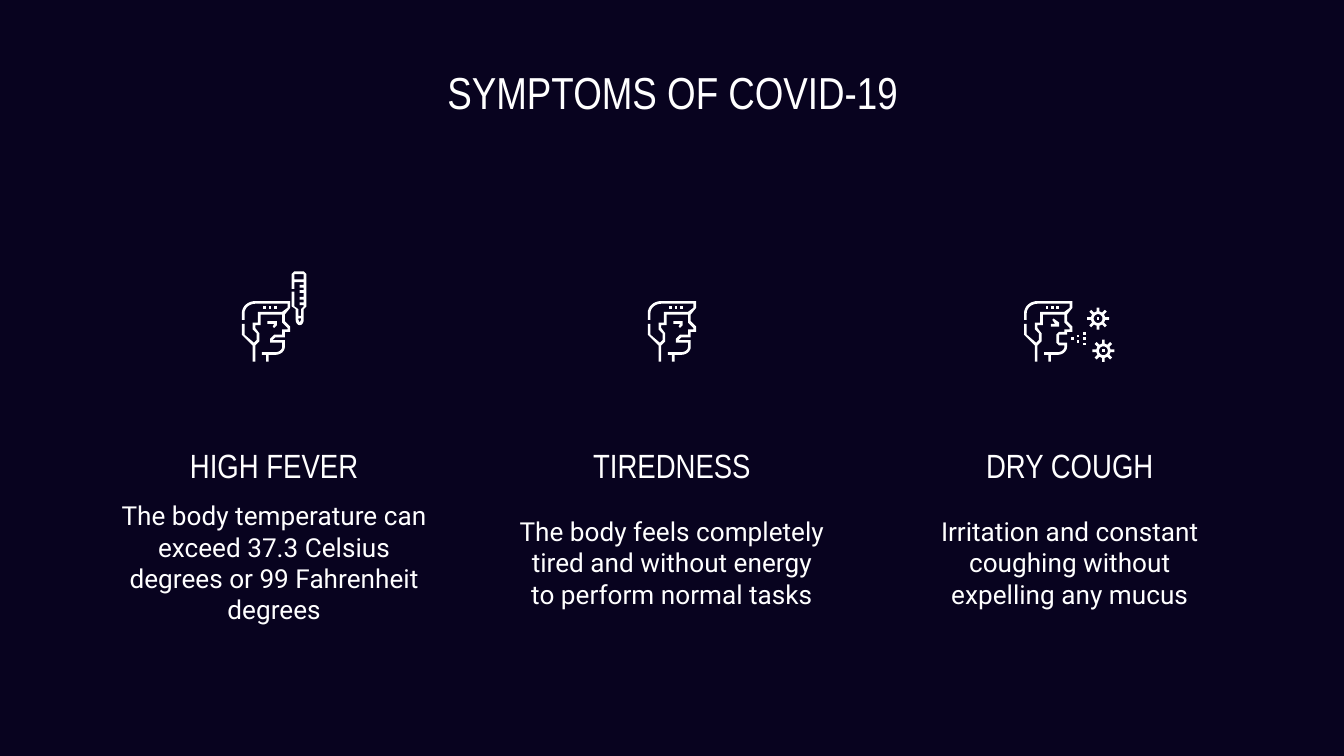
from dataclasses import dataclass
from math import cos, radians, sin

from pptx import Presentation
from pptx.dml.color import RGBColor
from pptx.enum.text import MSO_ANCHOR, PP_ALIGN
from pptx.util import Emu, Pt


@dataclass(frozen=True)
class Theme:
    background: RGBColor = RGBColor(0x08, 0x03, 0x1F)
    ink: RGBColor = RGBColor(0xFF, 0xFF, 0xFF)
    heading_font: str = "Arial Narrow"
    body_font: str = "Roboto"
    title_size: int = 24
    heading_size: int = 18
    body_size: int = 14
    space_after: int = 16


THEME = Theme()
TITLE = "SYMPTOMS OF COVID-19"
SYMPTOMS = [
    ("HIGH FEVER", "fever", 48,
     "The body temperature can exceed 37.3 Celsius degrees or 99 Fahrenheit degrees"),
    ("TIREDNESS", "tired", 36,
     "The body feels completely tired and without energy to perform normal tasks"),
    ("DRY COUGH", "cough", 68,
     "Irritation and constant coughing without expelling any mucus"),
]

SLIDE_WIDTH = 1000
SLIDE_HEIGHT = SLIDE_WIDTH * 9 / 16
TITLE_BOX = (103, 38, 795, 91)
FIRST_CENTER, COLUMN_PITCH = 204, 296
COLUMN_WIDTH, ROW_HEIGHT = 250, 85
HEADING_TOP = 286
BODY_TOP = HEADING_TOP + ROW_HEIGHT
HEAD_TOP = 224
INSET = 10


def px(length):
    return Emu(round(length * 9144))


def arc(cx, cy, rx, ry, start, end, steps=8):
    angles = [radians(start + (end - start) * i / steps) for i in range(steps + 1)]
    return [(cx + rx * cos(a), cy + ry * sin(a)) for a in angles]


def square(x, y, side=2):
    return [(x, y), (x, y + side), (x + side, y + side), (x + side, y)]


def virus(cx, cy):
    outline = []
    for spike in range(8):
        a = radians(45 * spike)
        for along, across in ((5.3, -1), (8.2, -1), (8.2, 1), (5.3, 1)):
            outline.append((cx + along * cos(a) - across * sin(a),
                            cy + along * sin(a) + across * cos(a)))
    return [[outline, arc(cx, cy, 3.3, 3.3, 0, 360, 20)], [square(cx - 1, cy - 1)]]


CROWN = (
    arc(10, 9, 10, 9, 270, 180) + [(0, 14), (2, 14)] + arc(10, 9, 8, 7, 180, 270)
    + [(34, 2), (34, 5), (30, 8), (12, 8), (12, 16), (8, 16), (8, 21), (11, 24),
       (11, 29), (9, 31), (2, 25), (2, 17), (0, 17), (0, 25), (8, 33), (8, 45),
       (10, 45), (10, 33), (13, 30), (13, 24), (10, 20), (10, 18), (14, 18),
       (14, 10), (30, 10), (30, 16), (34, 20), (34, 21), (30, 21)]
)
JAW = (
    arc(25, 34, 5, 4, 0, 90)
    + [(15, 38), (15, 40), (18, 40), (18, 45), (20, 45), (20, 40)]
    + arc(25, 34, 7, 6, 90, 0)
)
NOSE = [(32, 23), (36, 23), (36, 19), (32, 15), (32, 10), (36, 5), (36, 0)]
CLOSED_LIPS = ([(30, 25), (24, 25), (21, 28), (21, 31), (30, 31)],
               [(32, 29), (23, 29), (25, 27), (32, 27)])
OPEN_LIPS = ([(30, 23), (26, 23), (24, 25), (24, 31), (26, 33), (30, 33)],
             [(32, 31), (26, 31), (26, 25), (32, 25)])
TIRED_EYE = [(19, 15), (19, 17), (24, 17), (23, 19), (24, 20), (26, 18), (26, 15)]
TENSE_EYE = [(22, 13), (21, 14), (23, 17), (20, 17), (20, 19), (26, 19), (26, 16)]
HAIR_DOTS = [[square(x, 4)] for x in (16, 20, 24)]
DROPLETS = [[square(x, y)] for x, y in
            ((44, 23), (39, 29), (39, 25), (44, 31), (44, 27), (35, 27))]

TICKS = [point for y in (-12, -8, -3, 1)
         for point in ((46, y), (43, y), (43, y + 2), (46, y + 2))]
THERMOMETER = [
    [(39, -22), (37, -20), (37, -9), (39, -9), (39, -14), (46, -14)] + TICKS
    + [(46, 4), (44, 6), (44, 11), (42, 11), (42, 6), (39, 4), (39, -7), (37, -7),
       (37, 4), (40, 6)] + arc(43, 14, 3, 4, 180, 0)
    + [(46, 6), (48, 4), (48, -20), (46, -22)],
    [(46, -20), (46, -16), (39, -16), (39, -20)],
    [(44, 13), (44, 14), (43, 16), (42, 14), (42, 13)],
]


def head(lips, eye):
    upper, lower = lips
    return HAIR_DOTS + [[CROWN + upper + JAW + lower + NOSE], [eye]]


ICONS = {
    "fever": head(CLOSED_LIPS, TIRED_EYE) + [THERMOMETER],
    "tired": head(CLOSED_LIPS, TIRED_EYE),
    "cough": head(OPEN_LIPS, TENSE_EYE) + DROPLETS + virus(55, 13) + virus(59, 37),
}


def draw_icon(slide, parts, left, top):
    icon = slide.shapes.add_group_shape()
    for contours in parts:
        placed = [[(px(left + x), px(top + y)) for x, y in c] for c in contours]
        builder = icon.shapes.build_freeform(*placed[0][0], scale=1.0)
        builder.add_line_segments(placed[0][1:], close=True)
        for hole in placed[1:]:
            builder.move_to(*hole[0])
            builder.add_line_segments(hole[1:], close=True)
        part = builder.convert_to_shape()
        part.shadow.inherit = False
        part.fill.solid()
        part.fill.fore_color.rgb = THEME.ink
        part.line.fill.background()


def write(slide, text, box, font, size, anchor, bottom_inset=INSET, space_after=0):
    frame = slide.shapes.add_textbox(*map(px, box)).text_frame
    frame.word_wrap = True
    frame.vertical_anchor = anchor
    frame.margin_left = frame.margin_right = frame.margin_top = px(INSET)
    frame.margin_bottom = px(bottom_inset)
    paragraph = frame.paragraphs[0]
    paragraph.alignment = PP_ALIGN.CENTER
    paragraph.space_after = Pt(space_after)
    run = paragraph.add_run()
    run.text = text
    run.font.name = font
    run.font.size = Pt(size)
    run.font.color.rgb = THEME.ink


def main():
    deck = Presentation()
    deck.slide_width, deck.slide_height = px(SLIDE_WIDTH), px(SLIDE_HEIGHT)
    slide = deck.slides.add_slide(deck.slide_layouts[6])
    slide.background.fill.solid()
    slide.background.fill.fore_color.rgb = THEME.background

    write(slide, TITLE, TITLE_BOX, THEME.heading_font, THEME.title_size, MSO_ANCHOR.TOP)
    for column, (heading, icon, icon_width, body) in enumerate(SYMPTOMS):
        center = FIRST_CENTER + column * COLUMN_PITCH
        left = center - COLUMN_WIDTH // 2
        draw_icon(slide, ICONS[icon], center - icon_width // 2, HEAD_TOP)
        write(slide, heading, (left, HEADING_TOP, COLUMN_WIDTH, ROW_HEIGHT),
              THEME.heading_font, THEME.heading_size, MSO_ANCHOR.BOTTOM,
              space_after=THEME.space_after)
        write(slide, body, (left, BODY_TOP, COLUMN_WIDTH, ROW_HEIGHT),
              THEME.body_font, THEME.body_size, MSO_ANCHOR.MIDDLE,
              bottom_inset=0, space_after=THEME.space_after)
    deck.save("out.pptx")


if __name__ == "__main__":
    main()
